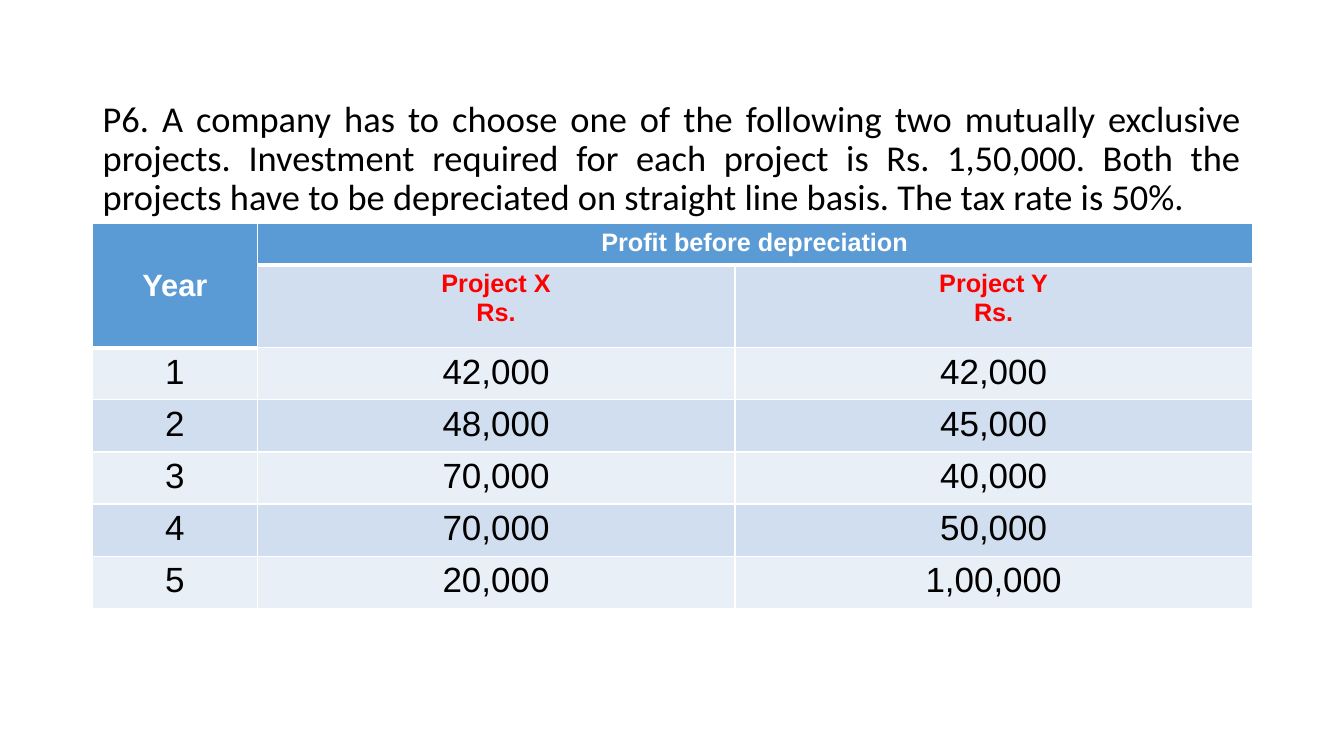
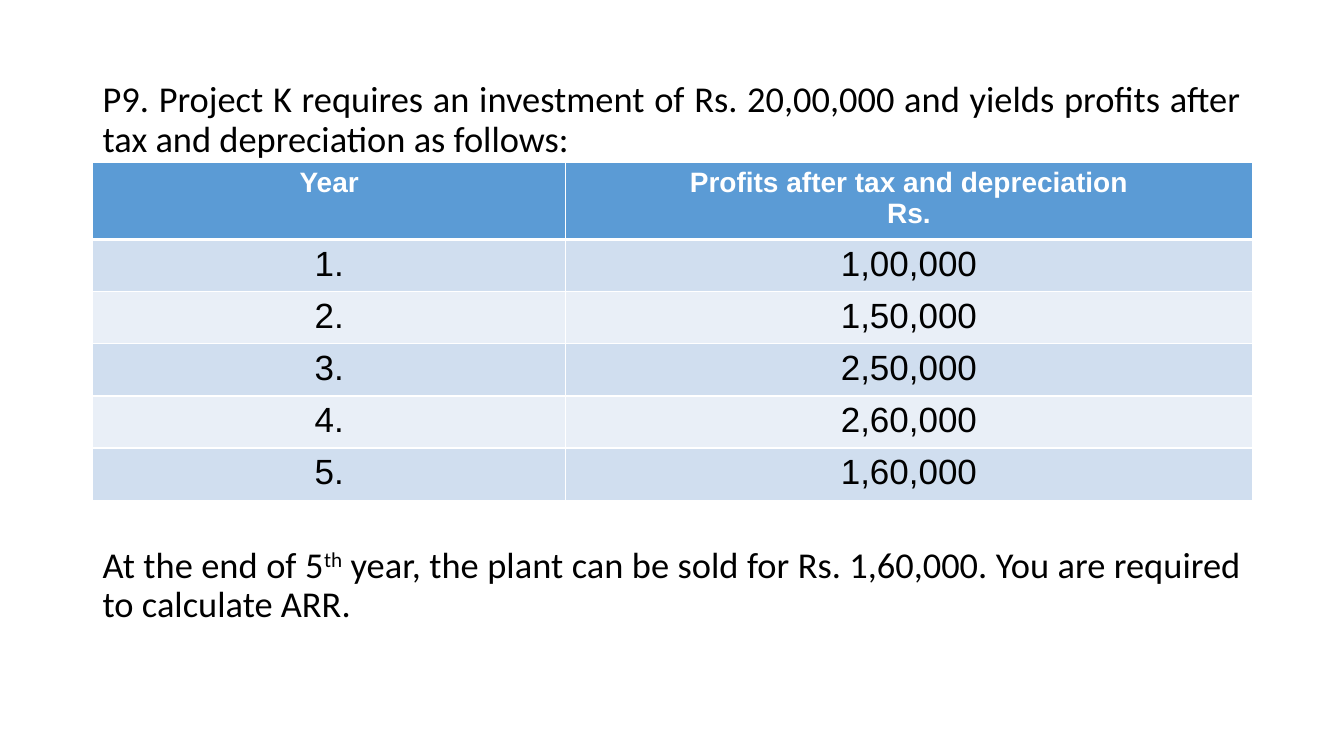
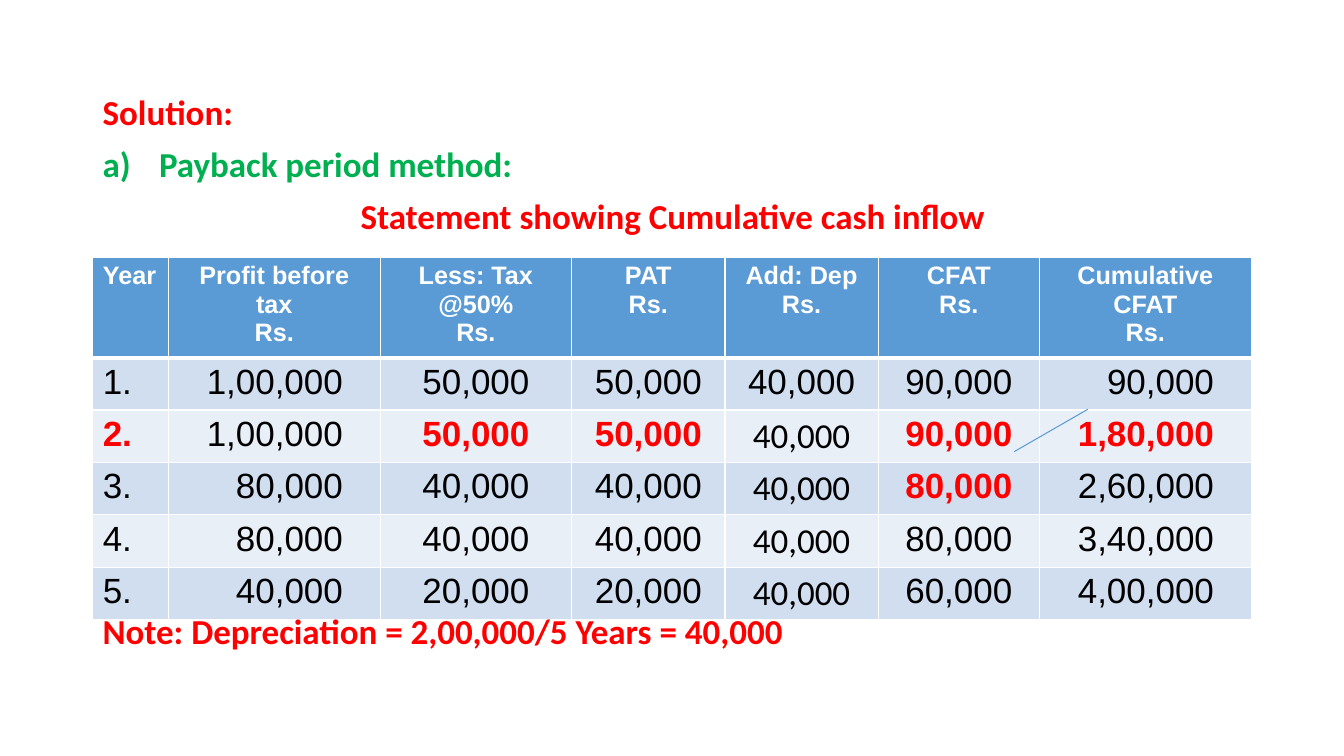
import pptx
import pptx.util
import pptx.dml.color
import pptx.enum.text
import pptx.enum.shapes
import pptx.oxml.ns
from lxml import etree

Inches = pptx.util.Inches
Pt = pptx.util.Pt
RGBColor = pptx.dml.color.RGBColor
ALIGN = pptx.enum.text.PP_ALIGN
ANCHOR = pptx.enum.text.MSO_ANCHOR
qn = pptx.oxml.ns.qn

BLACK = RGBColor(0x00, 0x00, 0x00)
WHITE = RGBColor(0xFF, 0xFF, 0xFF)
RED = RGBColor(0xFF, 0x00, 0x00)
GREEN = RGBColor(0x00, 0xB0, 0x50)
BLUE = RGBColor(0x5B, 0x9B, 0xD5)
BAND_DARK = RGBColor(0xD0, 0xDE, 0xEF)
BAND_LIGHT = RGBColor(0xE9, 0xEF, 0xF7)

LEFT = 0.92
WIDTH = 11.5
BODY_FONT = "Calibri"
TABLE_FONT = "Arial"
FIGURE_SIZE = 25
FIGURE_ROW = 0.49


def write(paragraph, text, size=26, font=BODY_FONT, color=BLACK, bold=False,
          align=ALIGN.LEFT, spacing=None, before=0, raised=False):
    paragraph.alignment = align
    paragraph.space_before = Pt(before)
    if spacing:
        paragraph.line_spacing = spacing
    run = paragraph.add_run()
    run.text = text
    run.font.size = Pt(size)
    run.font.name = font
    run.font.color.rgb = color
    run.font.bold = bold
    if raised:
        run.font._element.set("baseline", "30000")


def add_body(slide, top, height):
    frame = slide.shapes.add_textbox(
        Inches(LEFT), Inches(top), Inches(WIDTH), Inches(height)).text_frame
    frame.word_wrap = True
    return frame


def write_problem(paragraph, text, raised=False):
    write(paragraph, text, align=ALIGN.JUSTIFY, spacing=0.9, raised=raised)


def write_heading(paragraph, text, color=RED, align=ALIGN.LEFT, before=0):
    write(paragraph, text, size=25, color=color, bold=True, align=align,
          spacing=0.9, before=before)


def number_with_letter(paragraph, color):
    properties = paragraph._p.get_or_add_pPr()
    properties.set("marL", str(Inches(0.56)))
    properties.set("indent", str(-Inches(0.56)))
    bullet_color = etree.SubElement(properties, qn("a:buClr"))
    etree.SubElement(bullet_color, qn("a:srgbClr"), val=str(color))
    etree.SubElement(properties, qn("a:buAutoNum"), type="alphaLcParenR")


def add_table(slide, top, widths, heights, rows):
    table = slide.shapes.add_table(
        len(rows), len(widths), Inches(LEFT), Inches(top),
        Inches(sum(widths)), Inches(sum(heights))).table
    for column, width in zip(table.columns, widths):
        column.width = Inches(width)
    for row, height in zip(table.rows, heights):
        row.height = Inches(height)
    return table


def paint(cell, fill, top=1, bottom=1):
    properties = cell._tc.get_or_add_tcPr()
    for edge, weight in (("L", 1), ("R", 1), ("T", top), ("B", bottom)):
        line = etree.SubElement(properties, qn("a:ln" + edge), w=str(Pt(weight)))
        solid = etree.SubElement(line, qn("a:solidFill"))
        etree.SubElement(solid, qn("a:srgbClr"), val=str(WHITE))
    cell.fill.solid()
    cell.fill.fore_color.rgb = fill


def fill_cell(cell, text, **style):
    frame = cell.text_frame
    for index, line in enumerate(text.split("\n")):
        paragraph = frame.add_paragraph() if index else frame.paragraphs[0]
        write(paragraph, line, **{"font": TABLE_FONT, "align": ALIGN.CENTER, **style})


def fill_header(cell, text, **style):
    paint(cell, BLUE, bottom=3)
    if text:
        fill_cell(cell, text, **{"size": 18, "color": WHITE, "bold": True, **style})


def fill_figure(cell, text, fill, under_header, **style):
    paint(cell, fill, top=3 if under_header else 1)
    fill_cell(cell, text, **{"size": FIGURE_SIZE, **style})


def add_line(slide, start, end):
    strike = slide.shapes.add_connector(
        pptx.enum.shapes.MSO_CONNECTOR.STRAIGHT, *map(Inches, start + end))
    strike.line.color.rgb = BLUE
    strike.line.width = Pt(0.75)
    etree.SubElement(strike._element.spPr, qn("a:effectLst"))


def build_project_choice(slide):
    problem = add_body(slide, 0.95, 1.25)
    write_problem(
        problem.paragraphs[0],
        "P6. A company has to choose one of the following two mutually exclusive "
        "projects. Investment required for each project is Rs. 1,50,000. Both the "
        "projects have to be depreciated on straight line basis. The tax rate is 50%.")
    rows = [
        ("Year", "Profit before depreciation", ""),
        ("", "Project X\nRs.", "Project Y\nRs."),
        ("1", "42,000", "42,000"),
        ("2", "48,000", "45,000"),
        ("3", "70,000", "40,000"),
        ("4", "70,000", "50,000"),
        ("5", "20,000", "1,00,000"),
    ]
    profits = add_table(slide, 2.22, [1.63, 4.74, 5.13],
                        [0.41, 0.82] + [FIGURE_ROW] * 5, rows)
    profits.cell(0, 0).merge(profits.cell(1, 0))
    profits.cell(0, 1).merge(profits.cell(0, 2))
    for r, row in enumerate(rows):
        for c, text in enumerate(row):
            cell = profits.cell(r, c)
            if r == 0 or (r, c) == (1, 0):
                fill_header(cell, text, size=18 if c else 22)
            elif r == 1:
                paint(cell, BAND_DARK, top=3)
                fill_cell(cell, text, size=18, color=RED, bold=True)
            else:
                fill_figure(cell, text, BAND_DARK if r % 2 else BAND_LIGHT,
                            r == 2 and c == 0)
    profits.cell(0, 0).vertical_anchor = ANCHOR.MIDDLE


def build_return_problem(slide):
    problem = add_body(slide, 0.76, 0.85)
    write_problem(
        problem.paragraphs[0],
        "P9. Project K requires an investment of Rs. 20,00,000 and yields profits "
        "after tax and depreciation as follows:")
    rows = [
        ("Year", "Profits after tax and depreciation\nRs."),
        ("1.", "1,00,000"),
        ("2.", "1,50,000"),
        ("3.", "2,50,000"),
        ("4.", "2,60,000"),
        ("5.", "1,60,000"),
    ]
    profits = add_table(slide, 1.61, [4.69, 6.81], [0.71] + [FIGURE_ROW] * 5, rows)
    for r, row in enumerate(rows):
        for c, text in enumerate(row):
            if r == 0:
                fill_header(profits.cell(r, c), text, size=20)
            else:
                fill_figure(profits.cell(r, c), text,
                            BAND_DARK if r % 2 else BAND_LIGHT, r == 1)
    question = add_body(slide, 5.38, 0.85).paragraphs[0]
    write_problem(question, "At the end of 5")
    write_problem(question, "th", raised=True)
    write_problem(question, " year, the plant can be sold for Rs. 1,60,000. "
                            "You are required to calculate ARR.")


def build_payback_solution(slide):
    headings = add_body(slide, 0.9, 1.6)
    write_heading(headings.paragraphs[0], "Solution:")
    method = headings.add_paragraph()
    number_with_letter(method, GREEN)
    write_heading(method, "Payback period method:", color=GREEN, before=10)
    write_heading(headings.add_paragraph(), "Statement showing Cumulative cash inflow",
                  align=ALIGN.CENTER, before=10)
    rows = [
        ("Year", "Profit before tax\nRs.", "Less: Tax @50%\nRs.", "PAT\nRs.",
         "Add: Dep\nRs.", "CFAT\nRs.", "Cumulative CFAT\nRs."),
        ("1.", "1,00,000", "50,000", "50,000", "40,000", "90,000", "90,000"),
        ("2.", "1,00,000", "50,000", "50,000", "40,000", "90,000", "1,80,000"),
        ("3.", "80,000", "40,000", "40,000", "40,000", "80,000", "2,60,000"),
        ("4.", "80,000", "40,000", "40,000", "40,000", "80,000", "3,40,000"),
        ("5.", "40,000", "20,000", "20,000", "40,000", "60,000", "4,00,000"),
    ]
    year, profit, depreciation, cumulative = 0, 1, 4, 6
    payback_cells = {(2, 0), (2, 2), (2, 3), (2, 5), (2, 6), (3, 5)}
    alignments = {year: ALIGN.LEFT, profit: ALIGN.RIGHT, cumulative: ALIGN.RIGHT}
    cash_flow = add_table(slide, 2.55, [0.75, 2.1, 1.9, 1.52, 1.52, 1.6, 2.1],
                          [0.93, FIGURE_ROW] + [0.52] * 4, rows)
    for r, row in enumerate(rows):
        for c, text in enumerate(row):
            cell = cash_flow.cell(r, c)
            if r == 0:
                fill_header(cell, text, align=ALIGN.CENTER if c else ALIGN.LEFT)
                continue
            marked = (r, c) in payback_cells
            fill_figure(cell, text, BAND_DARK if r % 2 else BAND_LIGHT, r == 1,
                        font=BODY_FONT if c == depreciation and r > 1 else TABLE_FONT,
                        color=RED if marked else BLACK, bold=marked,
                        align=alignments.get(c, ALIGN.CENTER))
            if c in (profit, cumulative):
                cell.margin_right = Inches(0.37)
    note = add_body(slide, 6.04, 0.5)
    write_heading(note.paragraphs[0], "Note: Depreciation = 2,00,000/5 Years = 40,000")
    add_line(slide, (10.79, 4.06), (10.06, 4.48))


def main():
    deck = pptx.Presentation()
    deck.slide_width = Inches(13.33)
    deck.slide_height = Inches(7.5)
    for build in (build_project_choice, build_return_problem, build_payback_solution):
        build(deck.slides.add_slide(deck.slide_layouts[6]))
    deck.save("out.pptx")


if __name__ == "__main__":
    main()
